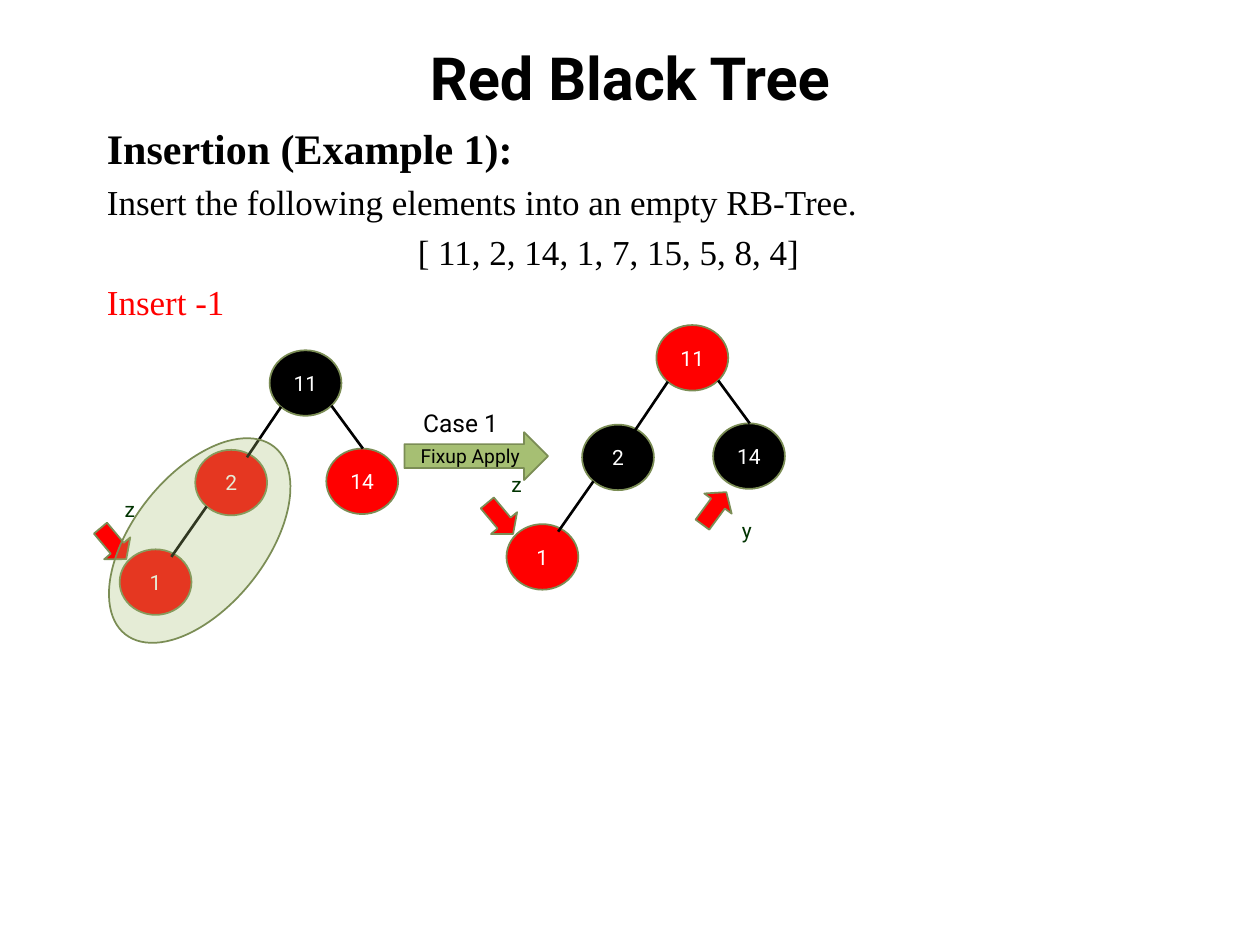
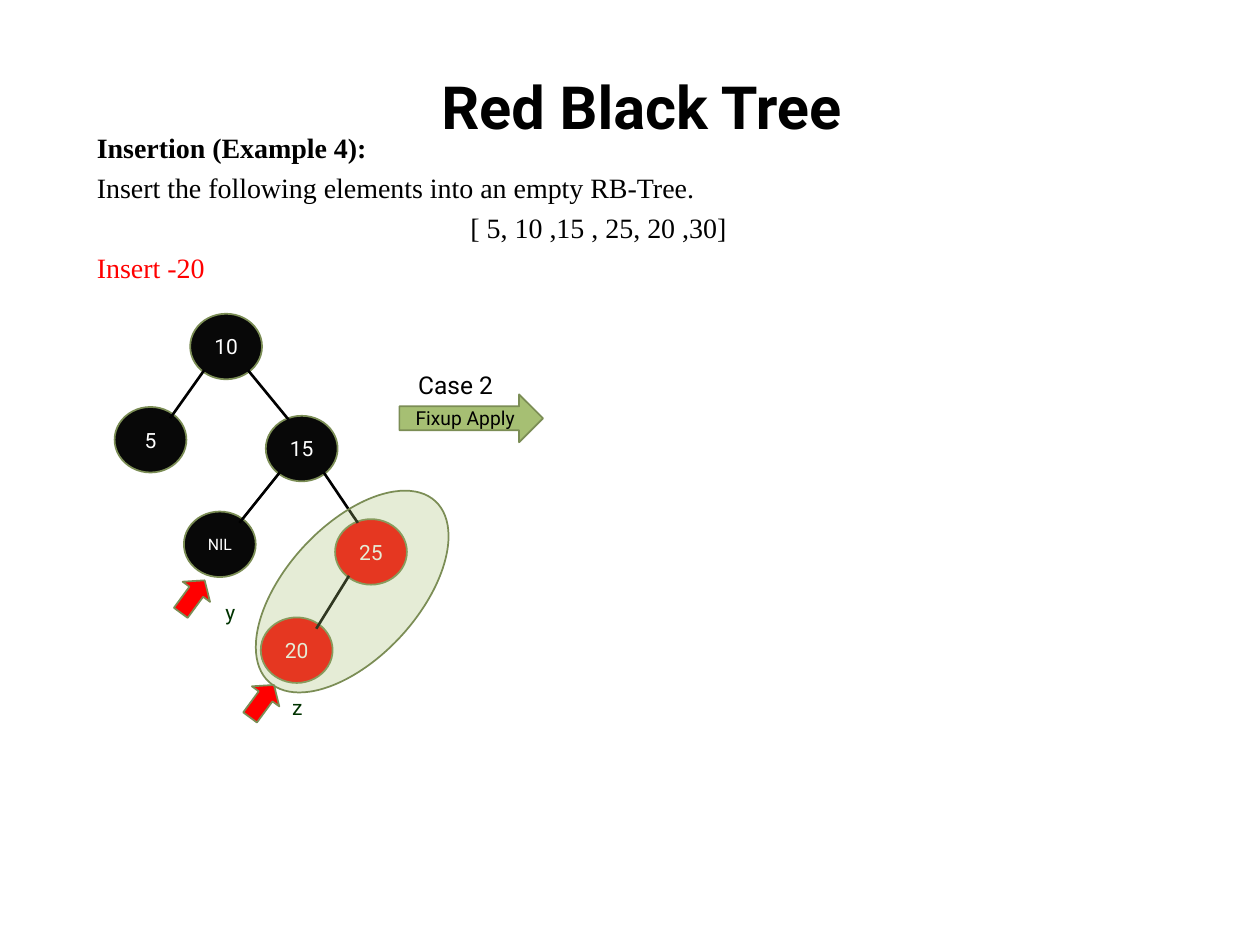
from pptx import Presentation
from pptx.dml.color import RGBColor
from pptx.enum.shapes import MSO_CONNECTOR as Link, MSO_SHAPE as Shape
from pptx.enum.text import MSO_ANCHOR as Anchor, PP_ALIGN as Align
from pptx.oxml.ns import qn
from pptx.util import Inches, Pt
from lxml import etree

BLACK, DARK, RED, WHITE = "000000", "080808", "FF0000", "FFFFFF"
GREEN, OLIVE, FOREST = "A6BF73", "7B8D55", "003300"
SANS, SERIF = "Roboto", "Times New Roman"
NODE_W, NODE_H = 0.57, 0.52
DOWN, UP = 50.1, 306.3  # pointer angles


def color(code):
    return RGBColor.from_string(code)


def style(para, size, code=BLACK, face=SANS, bold=False, align=None):
    para.alignment = align
    for run in para.runs:
        font = run.font
        font.size, font.name, font.bold = Pt(size), face, bold
        font.color.rgb = color(code)


def add_box(slide, kind, x, y, w, h, fill, turn=0):
    box = slide.shapes.add_shape(kind, *map(Inches, (x, y, w, h)))
    box.shadow.inherit = False
    box.fill.solid()
    box.fill.fore_color.rgb = color(fill)
    box.line.color.rgb = color(OLIVE)
    box.line.width = Pt(1)
    box.rotation = turn
    return box


def add_label(slide, text, x, y, w, h, size, code):
    frame = slide.shapes.add_textbox(*map(Inches, (x, y, w, h))).text_frame
    frame.word_wrap = True
    frame.text = text
    style(frame.paragraphs[0], size, code)


def add_caption(box, text, size, code):
    frame = box.text_frame
    frame.word_wrap = False
    frame.vertical_anchor = Anchor.MIDDLE
    frame.text = text
    style(frame.paragraphs[0], size, code, align=Align.CENTER)


def add_node(slide, text, x, y, fill):
    node = add_box(slide, Shape.OVAL, x, y, NODE_W, NODE_H, fill)
    add_caption(node, text, 9 if text == "NIL" else 12, WHITE)


def add_edge(slide, x1, y1, x2, y2):
    edge = slide.shapes.add_connector(Link.STRAIGHT, *map(Inches, (x1, y1, x2, y2)))
    edge.line.color.rgb = color(BLACK)
    edge.line.width = Pt(1.5)
    etree.SubElement(edge._element.spPr, qn("a:effectLst"))


def add_mark(slide, text, x, y, turn, dx, dy):
    """Small red pointer with its letter, dx and dy away."""
    add_label(slide, text, x + dx, y + dy, 0.27, 0.3, 12, FOREST)
    arrow = add_box(slide, Shape.RIGHT_ARROW, x, y, 0.32, 0.27, RED, turn)
    arrow.adjustments[1] = 0.415


def add_halo(slide, x, y, h, turn):
    """See-through oval around the clashing red nodes."""
    halo = add_box(slide, Shape.OVAL, x, y, 1.05, h, GREEN, turn)
    tint = halo._element.spPr.find(qn("a:solidFill"))[0]
    etree.SubElement(tint, qn("a:alpha"), val="29000")


def add_tree(slide, x, y, nodes, edges, ports, marks, halo=None):
    """Nodes map a key to (dx, dy, fill); ports give line ends per side."""
    for text, dx, dy, *rest in marks:
        add_mark(slide, text, x + dx, y + dy, *rest)
    for key, (dx, dy, fill) in nodes.items():
        add_node(slide, key, x + dx, y + dy, fill)
    for top, low in edges:
        (x1, y1, _), (x2, y2, _) = nodes[top], nodes[low]
        px, py, qx, qy = ports["left" if x2 < x1 else "right"]
        add_edge(slide, x + x1 + px, y + y1 + py, x + x2 + qx, y + y2 + qy)
    if halo:
        dx, dy, h, turn = halo
        add_halo(slide, x + dx, y + dy, h, turn)


def add_case(slide, x, y, text):
    """Green fix-up arrow with the case above it."""
    arrow = add_box(slide, Shape.RIGHT_ARROW, x, y, 1.14, 0.38, GREEN)
    add_caption(arrow, "Fixup Apply", 11, BLACK)
    add_label(slide, text, x + 0.05, y - 0.24, 0.86, 0.34, 14, BLACK)


def add_intro(slide, x, y, h, head, items, step, big, size):
    """Heading, task, list of keys and current step."""
    frame = slide.shapes.add_textbox(*map(Inches, (x, y, 8.16, h))).text_frame
    frame.word_wrap = True
    rows = [
        (head, big, BLACK, True, Align.JUSTIFY),
        ("Insert the following elements into an empty RB-Tree.",
         size, BLACK, False, Align.JUSTIFY),
        (items, size, BLACK, False, Align.CENTER),
        (step, size, RED, False, Align.LEFT),
    ]
    frame.text = "\n".join(row[0] for row in rows)
    for i, (para, row) in enumerate(zip(frame.paragraphs, rows)):
        _, points, code, bold, align = row
        style(para, points, code, SERIF, bold, align)
        para.space_before = Pt(0.23 * points if i else 0)


def add_page(deck, x, y):
    """Title-only slide with the shared title."""
    slide = deck.slides.add_slide(deck.slide_layouts[5])
    title = slide.shapes.title
    title.left, title.top, title.width, title.height = map(Inches, (x, y, 9, 0.79))
    frame = title.text_frame
    frame.vertical_anchor = Anchor.MIDDLE
    frame.text = "Red Black Tree"
    style(frame.paragraphs[0], 34, bold=True, align=Align.CENTER)
    return slide


def first_page(deck):
    slide = add_page(deck, 0.5, 0.21)
    add_intro(slide, 0.75, 0.92, 1.79, "Insertion (Example 1):",
              "[ 11, 2, 14, 1, 7, 15, 5, 8, 4]", "Insert -1", 24, 20)
    add_case(slide, 3.21, 3.43, "Case 1")

    spots = {"11": (1.4, 0), "2": (0.81, 0.79), "14": (1.85, 0.78), "1": (0.21, 1.58)}
    edges = [("11", "2"), ("11", "14"), ("2", "1")]
    ports = {"left": (0.09, 0.45, 0.41, 0.06), "right": (0.49, 0.44, 0.29, 0)}
    z_mark = ("z", 0, 1.4, DOWN, 0.15, -0.29)
    y_mark = ("y", 1.7, 1.32, UP, 0.28, 0.16)

    def paint(*fills):
        return {key: (*spot, fill) for (key, spot), fill in zip(spots.items(), fills)}

    # After and before the recolouring
    add_tree(slide, 3.81, 2.58, paint(RED, BLACK, BLACK, RED), edges, ports,
             [z_mark, y_mark])
    add_tree(slide, 0.74, 2.78, paint(BLACK, RED, RED, RED), edges, ports,
             [z_mark], (0.32, 0.56, 1.9, 38.5))


def second_page(deck):
    slide = add_page(deck, 0.59, 0.44)
    add_intro(slide, 0.67, 0.99, 1.34, "Insertion (Example 4):",
              "[ 5, 10 ,15 , 25, 20 ,30]", "Insert -20", 16, 16)
    nodes = {
        "10": (0.6, 0, DARK), "15": (1.2, 0.81, DARK), "5": (0, 0.74, DARK),
        "25": (1.75, 1.63, RED), "20": (1.16, 2.41, RED), "NIL": (0.55, 1.57, DARK),
    }
    edges = [("10", "15"), ("10", "5"), ("15", "25"), ("25", "20"), ("15", "NIL")]
    ports = {"left": (0.11, 0.45, 0.44, 0.09), "right": (0.46, 0.45, 0.18, 0.03)}
    marks = [("z", 1.01, 2.94, UP, 0.3, 0.03), ("y", 0.46, 2.11, UP, 0.32, 0.11)]
    add_tree(slide, 0.91, 2.49, nodes, edges, ports, marks, (1.36, 1.23, 1.95, 42.6))
    add_case(slide, 3.17, 3.13, "Case 2")


def main():
    deck = Presentation()
    deck.slide_width, deck.slide_height = Inches(10), Inches(7.5)
    first_page(deck)
    second_page(deck)
    deck.save("out.pptx")


if __name__ == "__main__":
    main()
